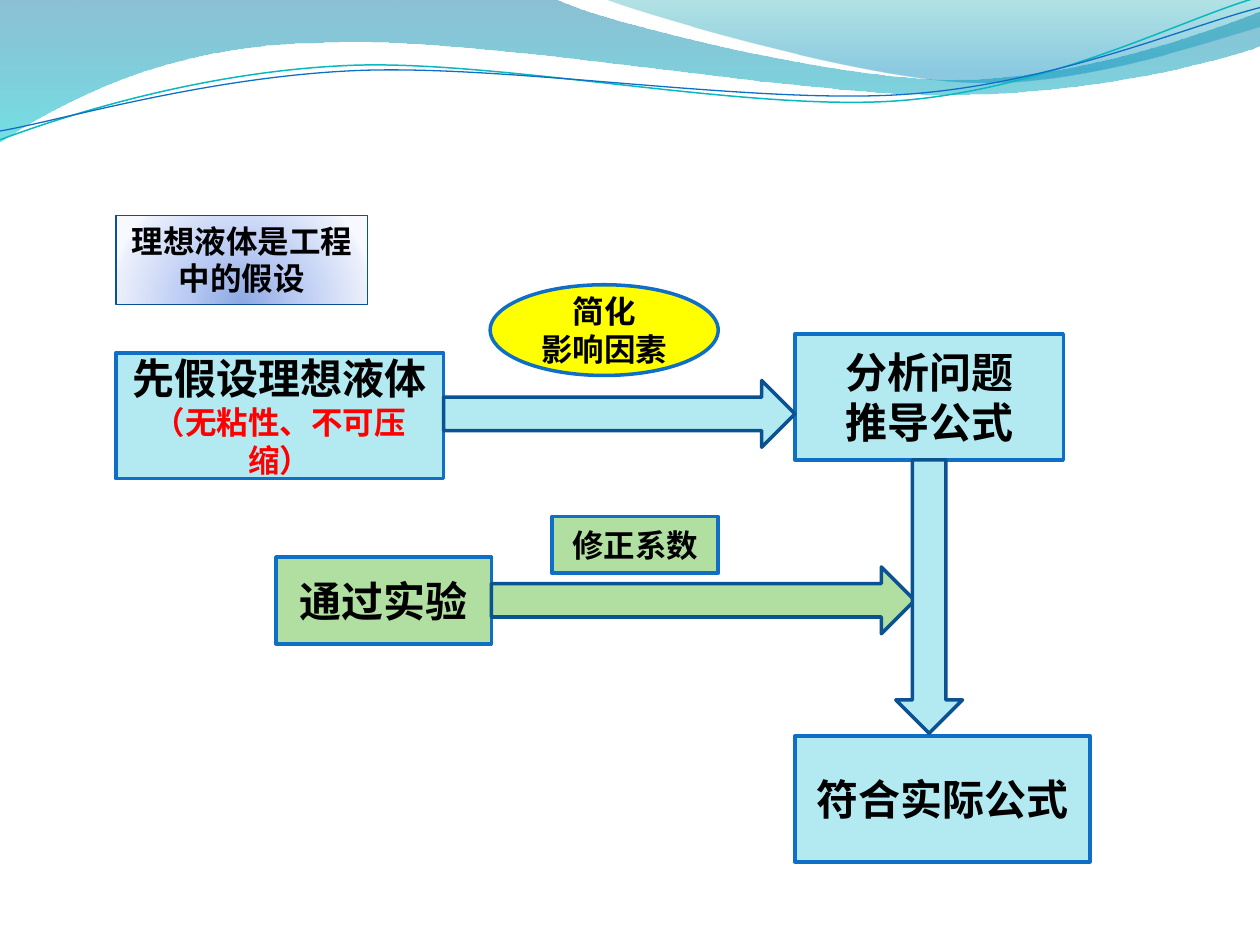
from math import cos, radians, sin

from lxml import etree
from pptx import Presentation
from pptx.dml.color import RGBColor
from pptx.enum.shapes import MSO_SHAPE
from pptx.enum.text import MSO_ANCHOR, MSO_AUTO_SIZE, PP_ALIGN
from pptx.oxml.ns import qn
from pptx.util import Inches, Pt

FONT = "Noto Sans CJK SC"
BLUE, NAVY = "0F6FC6", "0B5292"
AQUA, GREEN, YELLOW = "B3EAF2", "B0DFA1", "FFFF00"
BLACK, RED = "000000", "FF0000"
WAVE_TILT = -2.7


def rgb(color):
    return RGBColor.from_string(color)


def child(parent, tag, **attrs):
    """Add a DrawingML element."""
    el = etree.SubElement(parent, qn("a:" + tag))
    for name, value in attrs.items():
        el.set(name, str(value))
    return el


def gradient(sp, stops, focus=None):
    """Fill from top to bottom, or around a focus (left, top, right, bottom)."""
    sp.fill.gradient()
    grad = sp._element.spPr.find(qn("a:gradFill"))
    for el in list(grad):
        grad.remove(el)
    stop_list = child(grad, "gsLst")
    for pos, color, alpha in stops:
        clr = child(child(stop_list, "gs", pos=pos * 1000), "srgbClr", val=color)
        if alpha < 100:
            child(clr, "alpha", val=alpha * 1000)
    if focus:
        sides = {side: v * 1000 for side, v in zip("ltrb", focus)}
        child(child(grad, "path", path="circle"), "fillToRect", **sides)
    else:
        child(grad, "lin", ang=90 * 60000, scaled=0)


def outline(sp, color, width):
    sp.line.color.rgb = rgb(color)
    sp.line.width = Pt(width)


def add_curve(shapes, box, start, segments, close=False, tilt=0):
    """Draw line (2 numbers) and cubic (6 numbers) segments in a tilted box."""
    left, top, width, height = box
    cx, cy = left + width / 2, top + height / 2
    c, d = cos(radians(-tilt)), sin(radians(-tilt))

    def local(x, y):
        dx, dy = x - cx, y - cy
        return (Inches(dx * c - dy * d + width / 2),
                Inches(dx * d + dy * c + height / 2))

    ends = [local(*seg[-2:]) for seg in segments]
    builder = shapes.build_freeform(*local(*start))
    builder.add_line_segments(ends, close=close)
    sp = builder.convert_to_shape()
    sp.shadow.inherit = False
    sp.left, sp.top, sp.width, sp.height = (Inches(v) for v in box)
    sp.rotation = tilt

    # Write the outline again with true curves
    outline_el = sp._element.spPr.find(".//" + qn("a:path"))
    for el in list(outline_el):
        outline_el.remove(el)
    outline_el.set("w", str(sp.width))
    outline_el.set("h", str(sp.height))
    for seg in [start] + segments:
        tag = "moveTo" if seg is start else "lnTo" if len(seg) == 2 else "cubicBezTo"
        step = child(outline_el, tag)
        for x, y in zip(seg[::2], seg[1::2]):
            px, py = local(x, y)
            child(step, "pt", x=px, y=py)
    if close:
        child(outline_el, "close")
    return sp


def add_waves(s):
    # Shaded bands
    bands = [
        ((-0.01, -0.01, 10.02, 1.14), (0, -0.01),
         [(4.4, -0.01), (4.76, 0.17, 6.64, 0.63, 7.58, 0.63),
          (8.53, 0.63, 9.58, 0.26, 10, 0.09), (10.01, 0.36),
          (9.83, 0.44, 8.7, 0.76, 7.46, 0.75),
          (6.22, 0.75, 3.82, 0.28, 2.57, 0.34),
          (1.29, 0.35, 0.46, 0.83, -0.01, 1.13), (0, -0.01)],
         [(0, "0074A1", 45), (100, "00C6CF", 55)]),
        ((4.79, -0.01, 5.21, 0.7), (4.79, -0.01),
         [(5.09, 0.11, 6.82, 0.62, 7.69, 0.65),
          (8.56, 0.69, 9.61, 0.32, 10, 0.21), (10, 0), (4.79, -0.01)],
         [(0, "00A1A9", 30), (80, "008BBF", 45)]),
    ]
    for box, start, segments, stops in bands:
        sp = add_curve(s.shapes, box, start, segments, close=True)
        gradient(sp, stops)
        sp.line.fill.background()

    # Thin wave lines
    lines = [
        ((-0.02, 0.22, 10.02, 0.71), (0, 1.11),
         [(0.48, 0.93, 1.58, 0.57, 2.77, 0.52),
          (3.95, 0.47, 5.93, 0.89, 7.13, 0.8),
          (8.33, 0.71, 9.38, 0.15, 9.98, -0.02)], "0AB8BF", 0.85),
        ((-0.02, 0.3, 10.03, 0.58), (0, 1.04),
         [(0.47, 0.96, 1.64, 0.61, 2.83, 0.56),
          (4.03, 0.51, 5.97, 0.83, 7.17, 0.75),
          (8.36, 0.67, 9.41, 0.21, 10, 0.06)], BLUE, 0.75),
    ]
    group = s.shapes.add_group_shape()
    for box, start, segments, color, width in lines:
        sp = add_curve(group.shapes, box, start, segments, tilt=WAVE_TILT)
        sp.fill.background()
        outline(sp, color, width)


def add_block(s, kind, box, fill, line=BLUE, width=2):
    sp = s.shapes.add_shape(kind, *(Inches(v) for v in box))
    sp.shadow.inherit = False
    if fill:
        sp.fill.solid()
        sp.fill.fore_color.rgb = rgb(fill)
    outline(sp, line, width)
    return sp


def set_text(sp, lines):
    """Write centred bold lines, each given as (text, size, color)."""
    tf = sp.text_frame
    tf.word_wrap = True
    tf.vertical_anchor = MSO_ANCHOR.MIDDLE
    tf.text = "\n".join(text for text, _, _ in lines)
    for p, (_, size, color) in zip(tf.paragraphs, lines):
        p.alignment = PP_ALIGN.CENTER
        for r in p.runs:
            r.font.name = FONT
            r.font.size = Pt(size)
            r.font.bold = True
            r.font.color.rgb = rgb(color)
            child(r.font._element, "ea", typeface=FONT)


def add_flow(s):
    rect, ellipse = MSO_SHAPE.RECTANGLE, MSO_SHAPE.OVAL
    right, down = MSO_SHAPE.RIGHT_ARROW, MSO_SHAPE.DOWN_ARROW

    # Steps and labels
    blocks = [
        (rect, (0.92, 2.8, 2.6, 1), AQUA,
         [("先假设理想液体", 24, BLACK), ("（无粘性、不可压缩）", 18, RED)]),
        (rect, (6.31, 2.65, 2.13, 1), AQUA,
         [("分析问题", 24, BLACK), ("推导公式", 24, BLACK)]),
        (ellipse, (3.89, 2.26, 1.81, 0.72), YELLOW,
         [("简化", 18, BLACK), ("影响因素", 18, BLACK)]),
        (rect, (2.19, 4.42, 1.71, 0.69), GREEN, [("通过实验", 24, BLACK)]),
        (rect, (4.38, 4.1, 1.32, 0.45), GREEN, [("修正系数", 18, BLACK)]),
        (rect, (6.31, 5.84, 2.34, 1), AQUA, [("符合实际公式", 24, BLACK)]),
    ]
    for kind, box, fill, lines in blocks:
        set_text(add_block(s, kind, box, fill), lines)

    # Block arrows
    for kind, box, fill in [(right, (3.9, 4.5, 3.36, 0.53), GREEN),
                            (right, (3.52, 3.02, 2.79, 0.53), AQUA),
                            (down, (7.11, 3.65, 0.53, 2.17), AQUA)]:
        add_block(s, kind, box, fill, NAVY)


def add_premise(s, box):
    sp = add_block(s, MSO_SHAPE.RECTANGLE, box, None, "095295", 0.75)
    gradient(sp, [(0, "8DA8E3", 100), (43, "BBCBF3", 100),
                  (93, "EAEFFB", 100), (100, "F7F9FF", 100)],
             focus=(50, 130, 50, -30))
    set_text(sp, [("理想液体是工程中的假设", 18, BLACK)])
    sp.text_frame.vertical_anchor = MSO_ANCHOR.TOP
    sp.text_frame.auto_size = MSO_AUTO_SIZE.SHAPE_TO_FIT_TEXT


def main():
    prs = Presentation()
    prs.slide_width, prs.slide_height = Inches(10), Inches(7.5)
    s = prs.slides.add_slide(prs.slide_layouts[6])
    add_waves(s)
    add_flow(s)
    add_premise(s, (0.92, 1.71, 2, 0.71))
    prs.save("out.pptx")


if __name__ == "__main__":
    main()
